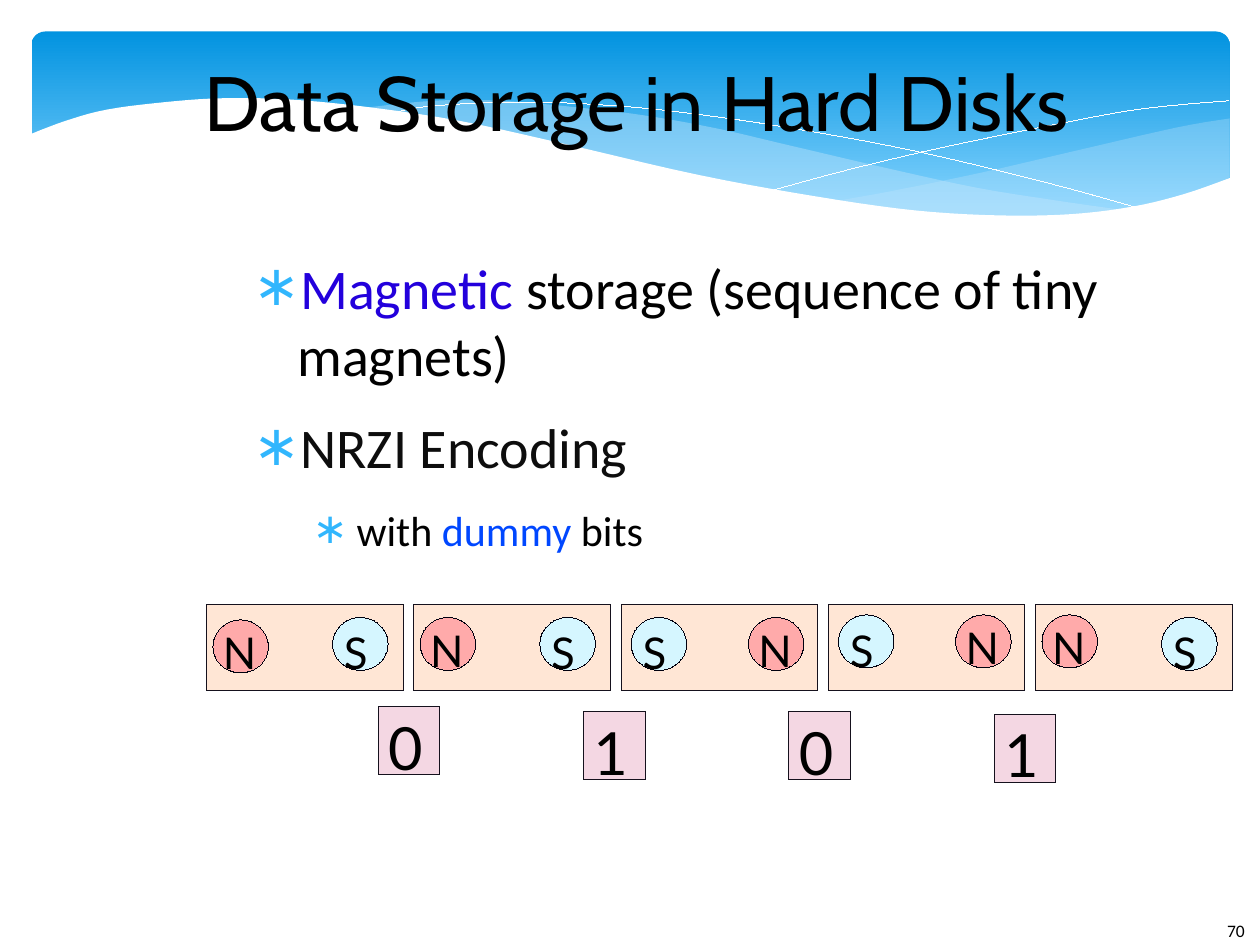
from lxml import etree
from pptx import Presentation
from pptx.dml.color import RGBColor
from pptx.enum import shapes, text
from pptx.oxml import ns
from pptx.util import Inches, Pt

BLACK = RGBColor(0x00, 0x00, 0x00)
WHITE = RGBColor(0xFF, 0xFF, 0xFF)
NEAR_BLACK = RGBColor(0x0D, 0x0D, 0x0D)
INDIGO = RGBColor(0x23, 0x00, 0xDC)
BLUE = RGBColor(0x00, 0x47, 0xFF)
SKY_TOP = RGBColor(0x02, 0x93, 0xE0)
SKY_BOTTOM = RGBColor(0x83, 0xD3, 0xFE)
PALE_WAVE = RGBColor(0xC6, 0xE7, 0xFC)
OUTLINE = RGBColor(0x15, 0x11, 0x1D)
POLE_OUTLINE = RGBColor(0x00, 0x00, 0x0F)
PEACH = RGBColor(0xFF, 0xE6, 0xD5)
PINK = RGBColor(0xF4, 0xD7, 0xE3)
BULLET_COLOR = "31B6FD"
HAIRLINE = Pt(0.01)

# Content
TITLE = "Data Storage in Hard Disks"
PAGE_NUMBER = "70"
# (level, size, space after, runs)
BULLETS = [
    (0, 32, 14.1, [("Magnetic", INDIGO),
                   (" storage (sequence of tiny magnets)", BLACK)]),
    (0, 32, 14.1, [("NRZI Encoding", NEAR_BLACK)]),
    (1, 24, 11.3, [("with ", BLACK), ("dummy", BLUE), (" bits", BLACK)]),
]
# Pole letters of each magnet, left to right, with the top of each pole
MAGNETS = [("NS", 4.92, 4.9), ("NS", 4.9, 4.9), ("SN", 4.9, 4.9),
           ("SN", 4.88, 4.88), ("NS", 4.88, 4.9)]
BITS = [("0", 5.61), ("1", 5.65), ("0", 5.65), ("1", 5.67)]

# Pole fill and label offset; pole positions inside a magnet
POLES = {"N": (RGBColor(0xFF, 0xAA, 0xAA), 0.08, 0.05),
         "S": (RGBColor(0xD5, 0xF6, 0xFF), 0.09, 0.07)}
POLE_LEFTS = {"NS": (0.05, 1.0), "SN": (0.08, 1.01)}

# Header waves: (smooth edges, fill, opacity in percent); no fill means a line
WAVES = [
    ([[(9.76, 0.94), (9.35, 1.01), (8.61, 1.18), (7.79, 1.37), (7.06, 1.52), (6.61, 1.6)],
      [(6.61, 1.6), (7.19, 1.67), (7.69, 1.71), (8.14, 1.72), (8.63, 1.7), (9.05, 1.63),
       (9.42, 1.54), (9.76, 1.41)]], PALE_WAVE, 29),
    ([[(8.93, 1.67), (8.37, 1.59), (7.75, 1.49), (7.06, 1.34), (6.29, 1.16), (5.69, 1.02),
       (5.14, 0.92), (4.65, 0.86), (3.99, 0.8), (3.44, 0.8), (2.86, 0.86)],
      [(2.86, 0.86), (3.42, 0.94), (4.04, 1.06), (4.91, 1.26), (5.66, 1.43), (6.34, 1.56),
       (6.95, 1.65), (7.48, 1.7), (8.07, 1.73), (8.57, 1.71), (8.93, 1.67)]], PALE_WAVE, 40),
    ([[(3.09, 0.9), (3.44, 0.84), (4.16, 0.81), (4.89, 0.84), (5.56, 0.91), (6.36, 1.03),
       (7.27, 1.2), (8.31, 1.45), (9.07, 1.66)]], None, 100),
    ([[(6.13, 1.51), (6.72, 1.35), (7.48, 1.17), (8.36, 0.99), (8.95, 0.88), (9.38, 0.83),
       (9.75, 0.8)]], None, 100),
    ([[(9.77, 1.41), (9.4, 1.54), (8.99, 1.64), (8.5, 1.7), (7.93, 1.71), (7.26, 1.67),
       (6.48, 1.56), (5.55, 1.39), (4.47, 1.14), (3.65, 0.96), (2.92, 0.85), (2.3, 0.79),
       (1.77, 0.78), (1.32, 0.81), (0.85, 0.87), (0.52, 0.96), (0.23, 1.07)],
      [(0.23, 2.24), (9.77, 2.24)]], WHITE, 100),
]


def smooth(knots, steps=5):
    """Points of a Catmull-Rom curve through the knots."""
    if len(knots) < 3:
        return knots
    padded = [knots[0], *knots, knots[-1]]
    points = []
    for a, b, c, d in zip(padded, padded[1:], padded[2:], padded[3:]):
        for t in (step / steps for step in range(steps)):
            points.append(tuple(
                q + t * (r - p) / 2 + t**2 * (2 * p - 5 * q + 4 * r - s) / 2
                + t**3 * (3 * q - p - 3 * r + s) / 2
                for p, q, r, s in zip(a, b, c, d)))
    return points + [knots[-1]]


def add_wave(slide, edges, fill, opacity):
    points = [(Inches(x), Inches(y)) for edge in edges for x, y in smooth(edge)]
    builder = slide.shapes.build_freeform(*points[0], scale=1.0)
    builder.add_line_segments(points[1:], close=fill is not None)
    wave = builder.convert_to_shape()
    wave.shadow.inherit = False
    if fill is None:
        wave.fill.background()
        wave.line.color.rgb = WHITE
        wave.line.width = HAIRLINE
        return
    wave.fill.solid()
    wave.fill.fore_color.rgb = fill
    wave.line.fill.background()
    if opacity < 100:
        color = wave.element.spPr.find(ns.qn("a:solidFill"))[0]
        etree.SubElement(color, ns.qn("a:alpha"), val=str(opacity * 1000))


def add_box(slide, kind, left, top, width, height, fill, line):
    shape = slide.shapes.add_shape(kind, *map(Inches, (left, top, width, height)))
    shape.shadow.inherit = False
    shape.fill.solid()
    shape.fill.fore_color.rgb = fill
    shape.line.color.rgb = line
    shape.line.width = HAIRLINE


def add_run(paragraph, words, size, font, color=BLACK):
    run = paragraph.add_run()
    run.text = words
    run.font.size, run.font.name = Pt(size), font
    run.font.color.rgb = color


def clear_margins(frame):
    frame.margin_left = frame.margin_right = frame.margin_top = frame.margin_bottom = 0


def add_label(slide, words, left, top, width, height, size):
    frame = slide.shapes.add_textbox(*map(Inches, (left, top, width, height))).text_frame
    clear_margins(frame)
    frame.word_wrap = False
    add_run(frame.paragraphs[0], words, size, "Lato")


def set_bullet(paragraph, level):
    properties = paragraph._p.get_or_add_pPr()
    properties.set("marL", str(Inches(0.47 * (level + 1))))
    properties.set("indent", str(Inches(-0.35)))
    color = etree.SubElement(properties, ns.qn("a:buClr"))
    etree.SubElement(color, ns.qn("a:srgbClr"), val=BULLET_COLOR)
    etree.SubElement(properties, ns.qn("a:buFont"), typeface="Calibri")
    etree.SubElement(properties, ns.qn("a:buChar"), char="∗")


def place(slide, placeholder, left, top, width, height):
    """Position a placeholder and bring it in front of the header."""
    placeholder.left, placeholder.top = Inches(left), Inches(top)
    placeholder.width, placeholder.height = Inches(width), Inches(height)
    slide.shapes.element.append(placeholder.element)
    frame = placeholder.text_frame
    clear_margins(frame)
    frame.word_wrap = True
    frame.auto_size = text.MSO_AUTO_SIZE.NONE
    return frame


def main():
    presentation = Presentation()
    presentation.slide_width, presentation.slide_height = Inches(10), Inches(7.5)
    slide = presentation.slides.add_slide(presentation.slide_layouts[1])
    title, body = slide.placeholders

    # Header band and waves
    band = slide.shapes.add_shape(shapes.MSO_SHAPE.ROUNDED_RECTANGLE,
                                  *map(Inches, (0.25, 0.25, 9.51, 1.56)))
    band.adjustments[0] = 0.07
    band.shadow.inherit = False
    band.line.fill.background()
    band.fill.gradient()
    band.fill.gradient_angle = 270
    for stop, color, position in zip(band.fill.gradient_stops,
                                     (SKY_TOP, SKY_BOTTOM), (0, 0.9)):
        stop.color.rgb, stop.position = color, position
    for wave in WAVES:
        add_wave(slide, *wave)

    # Page number
    number = slide.shapes.add_textbox(*map(Inches, (9.64, 7.25, 0.61, 0.4)))
    number.text_frame.word_wrap = True
    add_run(number.text_frame.paragraphs[0], PAGE_NUMBER, 10, "Calibri")

    # Title and bullets
    frame = place(slide, title, 1, 0.43, 8.11, 0.74)
    frame.vertical_anchor = text.MSO_ANCHOR.MIDDLE
    frame.paragraphs[0].alignment = text.PP_ALIGN.CENTER
    add_run(frame.paragraphs[0], TITLE, 44, "Cabin")
    frame = place(slide, body, 1.89, 2.01, 8.11, 2.34)
    for index, (level, size, after, runs) in enumerate(BULLETS):
        paragraph = frame.add_paragraph() if index else frame.paragraphs[0]
        paragraph.level = level
        paragraph.space_before, paragraph.space_after = Pt(0), Pt(after)
        set_bullet(paragraph, level)
        for words, color in runs:
            add_run(paragraph, words, size, "Calibri", color)

    # Row of magnets
    for index, (letters, *tops) in enumerate(MAGNETS):
        left = 1.64 + 1.645 * index
        add_box(slide, shapes.MSO_SHAPE.RECTANGLE, left, 4.8, 1.56, 0.68, PEACH, OUTLINE)
        for letter, offset, top in zip(letters, POLE_LEFTS[letters], tops):
            fill, dx, dy = POLES[letter]
            add_box(slide, shapes.MSO_SHAPE.OVAL, left + offset, top, 0.44, 0.42,
                    fill, POLE_OUTLINE)
            add_label(slide, letter, left + offset + dx, top + dy, 0.4, 0.46, 25)

    # Encoded bits below the magnet borders
    for index, (bit, top) in enumerate(BITS):
        left = 3 + 1.63 * index
        add_box(slide, shapes.MSO_SHAPE.RECTANGLE, left, top, 0.49, 0.54, PINK, OUTLINE)
        add_label(slide, bit, left + 0.08, top + 0.03, 0.47, 0.63, 34)

    presentation.save("out.pptx")


if __name__ == "__main__":
    main()
